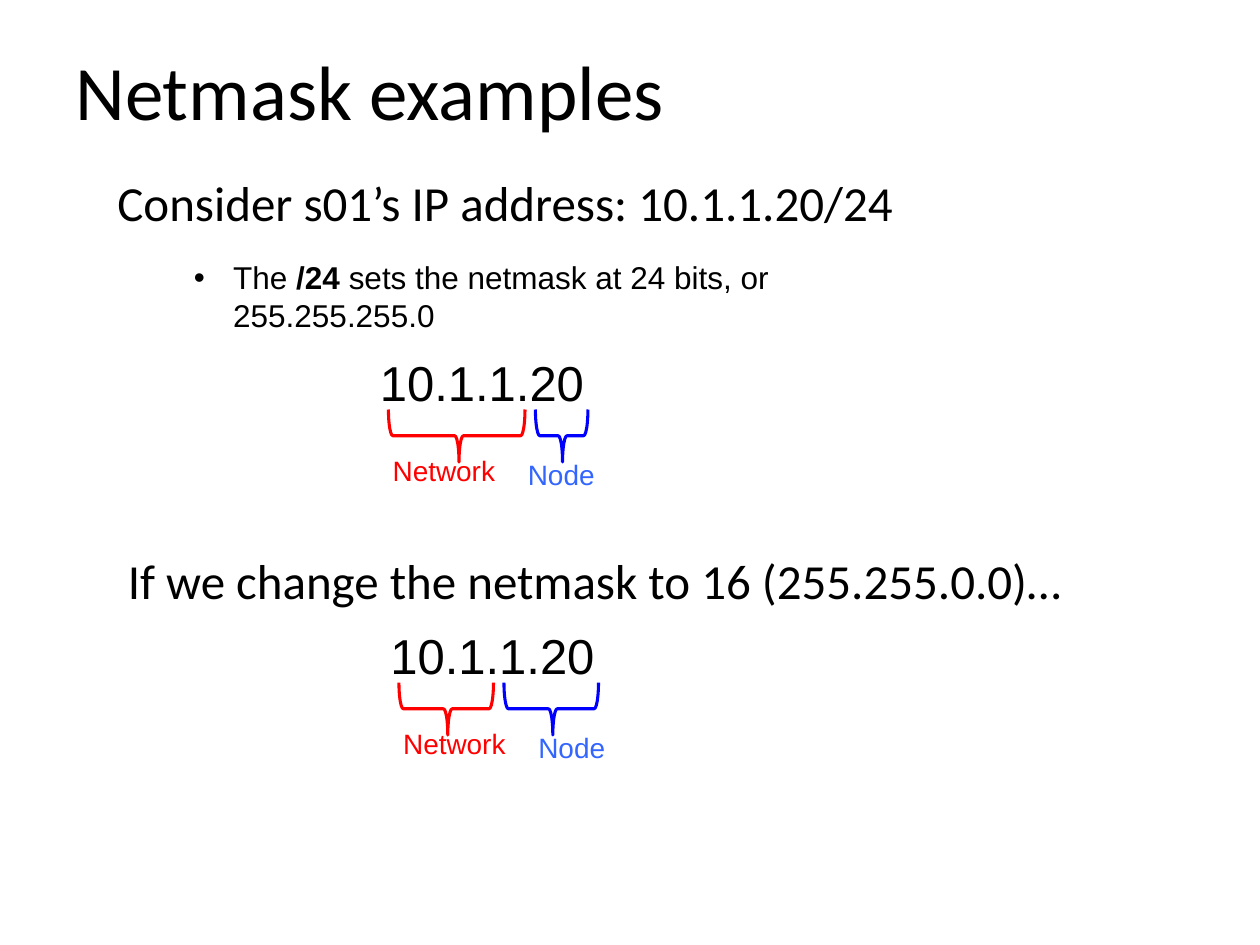
from pptx import Presentation
from pptx.dml.color import RGBColor
from pptx.enum.shapes import MSO_SHAPE
from pptx.enum.text import PP_ALIGN
from pptx.util import Pt
from lxml.etree import SubElement
from pptx.oxml.ns import qn

BLACK = RGBColor(0, 0, 0)
RED = RGBColor(0xFF, 0, 0)
BLUE = RGBColor(0, 0, 0xFF)
SKY = RGBColor(0x33, 0x66, 0xFF)


class Deck:
    """Holds the style and the current slide."""
    head = "Calibri"
    body = "Arial"

    def __init__(self):
        """Start a deck with one blank slide."""
        self.prs = Presentation()
        self.prs.slide_width, self.prs.slide_height = Pt(720), Pt(540)
        self.slide = self.prs.slides.add_slide(self.prs.slide_layouts[6])

    def text(self, box, runs, size, font=body, color=BLACK, wrap=True):
        """Add a text box of (words, bold) runs; return its paragraph."""
        frame = self.slide.shapes.add_textbox(*map(Pt, box)).text_frame
        frame.word_wrap = wrap
        para = frame.paragraphs[0]
        for words, bold in runs:
            run = para.add_run()
            run.text = words
            run.font.size, run.font.name = Pt(size), font
            run.font.bold = bold
            run.font.color.rgb = color
        return para

    def lead(self, left, top, words):
        """Add a widely spaced heading line."""
        para = self.text((left, top, 600, 60), [(words, False)], 28, self.head)
        para.line_spacing = 1.5
        para.space_before = Pt(5.6)

    def bullet(self, box, runs):
        """Add a bulleted line with a hanging indent."""
        para = self.text(box, runs, 18)
        props = para._p.get_or_add_pPr()
        props.set("marL", str(Pt(22.5)))
        props.set("indent", str(-Pt(22.5)))
        SubElement(props, qn("a:buFont"), typeface=self.body)
        SubElement(props, qn("a:buChar"), char="•")

    def brace(self, left, top, width, color, height=30):
        """Add a brace that opens upward over the given span."""
        shape = self.slide.shapes.add_shape(
            MSO_SHAPE.LEFT_BRACE,
            Pt(left + (width - height) / 2), Pt(top + (height - width) / 2),
            Pt(height), Pt(width))
        shape.rotation = 270
        shape.adjustments[0], shape.adjustments[1] = 0.083, 0.517
        shape.shadow.inherit = False
        shape.fill.background()
        shape.line.color.rgb = color
        shape.line.width = Pt(1.76)

    def label(self, box, words, color):
        """Add a right-aligned brace label."""
        para = self.text(box, [(words, False)], 16, color=color, wrap=False)
        para.alignment = PP_ALIGN.RIGHT

    def split(self, left, top, net, node):
        """Add an address with braces spanning its two parts."""
        self.text((left, top, 156, 41), [("10.1.1.20", False)], 28)
        self.brace(left + 12, top + 36, net, RED)
        self.brace(left + 126 - node, top + 36, node, BLUE)
        self.label((left + 84.3, top + 60, 52.6, 26), "Node", SKY)
        self.label((left + 7.3, top + 57.4, 72.7, 26), "Network", RED)


deck = Deck()
deck.text((36, 21.6, 648, 90), [("Netmask examples", False)], 44, deck.head)
deck.lead(60, 78, "Consider s01’s IP address: 10.1.1.20/24")
deck.bullet((103.7, 144, 460, 29), [
    ("The ", False), ("/24", True),
    (" sets the netmask at 24 bits, or 255.255.255.0", False)])
deck.split(210, 198, net=78, node=30)
deck.lead(66, 294, "If we change the netmask to 16 (255.255.0.0)…")
deck.split(216, 354, net=54, node=54)
deck.prs.save("out.pptx")
